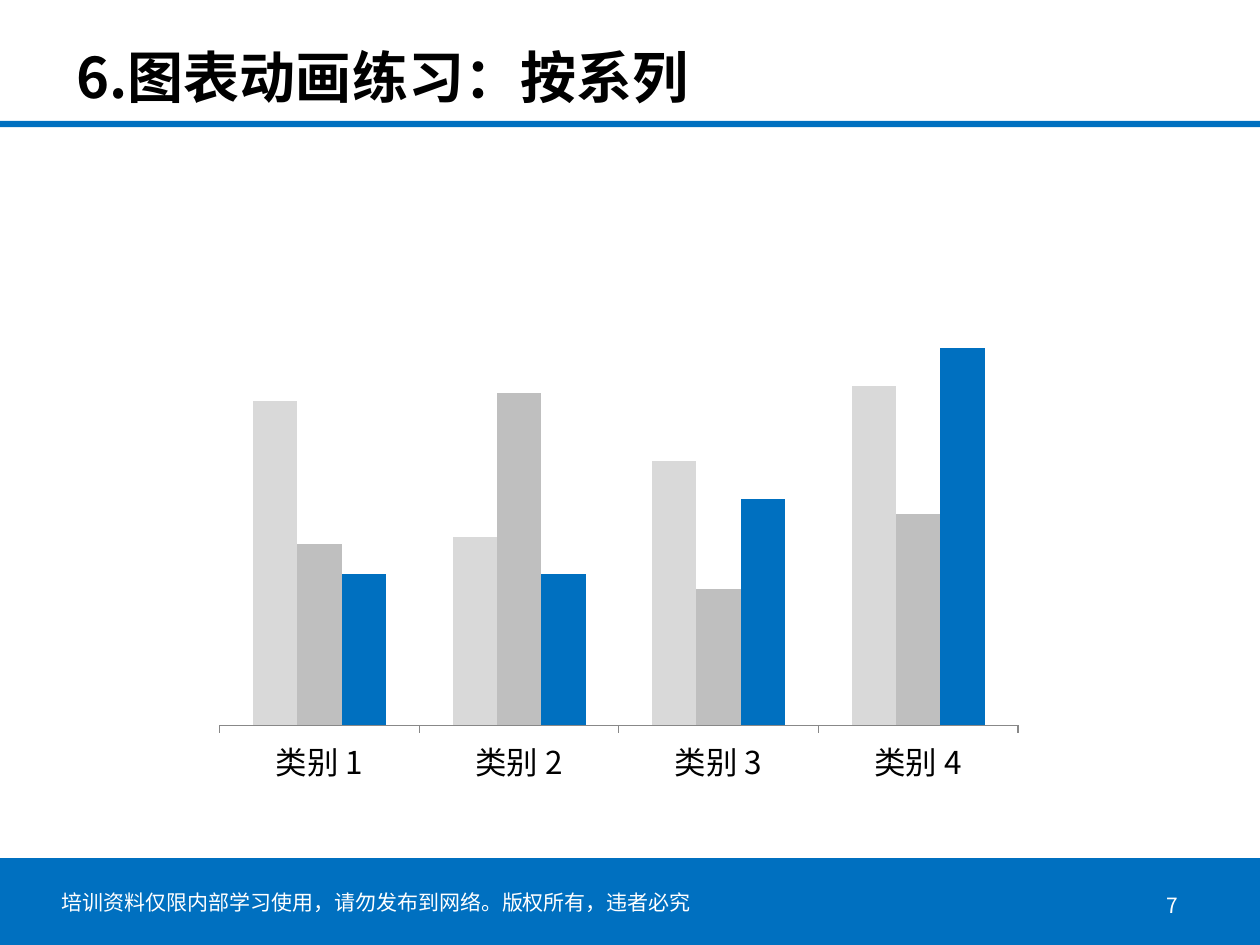
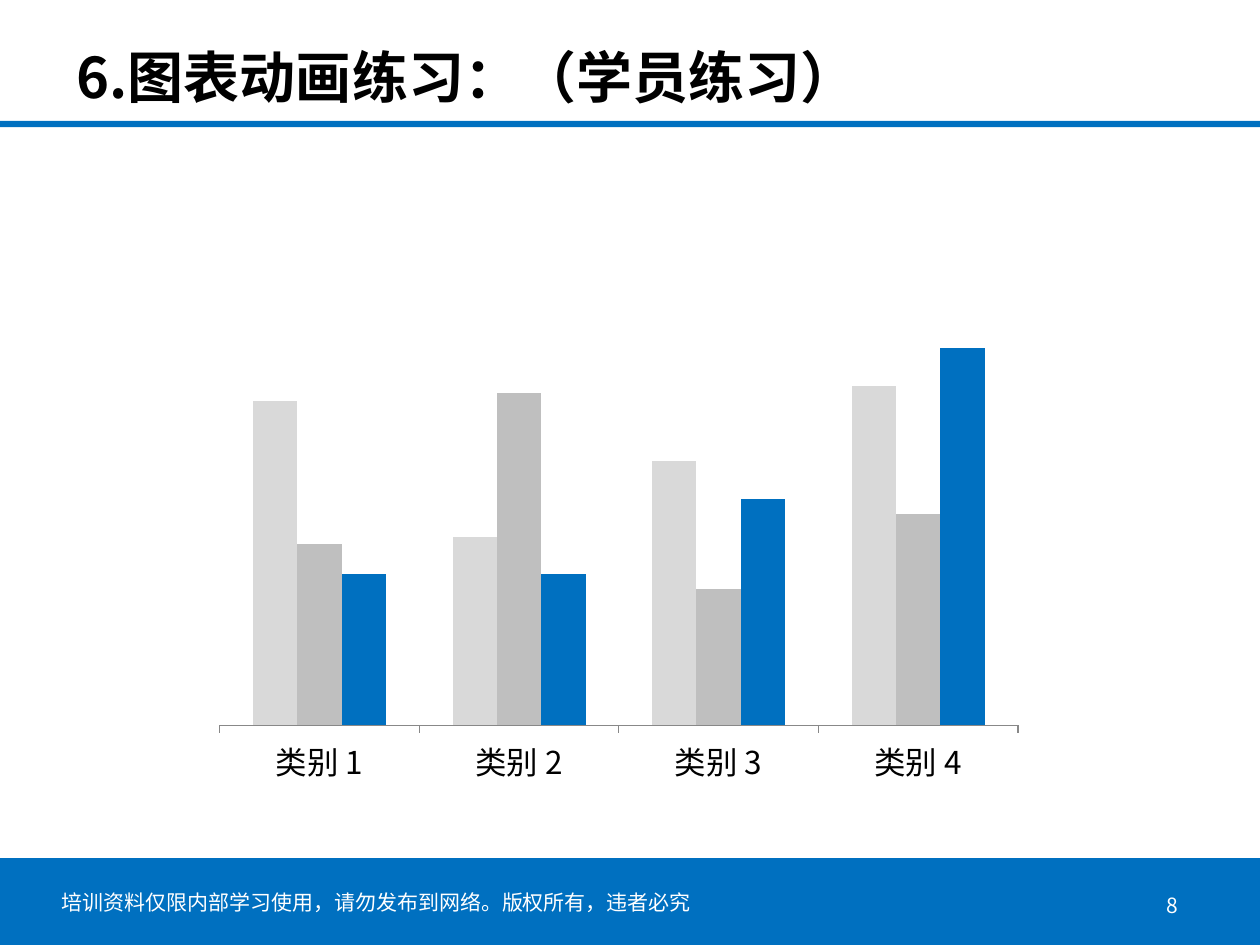
import pptx
import pptx.chart.data
import pptx.dml.color
import pptx.enum.chart
import pptx.enum.shapes
import pptx.enum.text
import pptx.oxml
import pptx.oxml.ns
import pptx.util

FONT = "Noto Sans CJK SC"
BLUE, BLACK, WHITE, AXIS_GRAY = "0070C0", "000000", "FFFFFF", "888888"
COLUMNS, ROWS = 100, 75
FOOTER = "培训资料仅限内部学习使用，请勿发布到网络。版权所有，违者必究"
FIRST_NUMBER = 7
TITLES = ["6.图表动画练习：按系列", "6.图表动画练习：（学员练习）"]
CATEGORIES = [f"类别 {n}" for n in range(1, 5)]
SERIES = [
    ("Series 1", (86, 50, 70, 90), "D9D9D9"),
    ("Series 2", (48, 88, 36, 56), "BFBFBF"),
    ("Series 3", (40, 40, 60, 100), BLUE),
]
PLOT_AREA = {"x": 0.02, "y": 0.05, "w": 0.95, "h": 0.81}


def rgb(value):
    return pptx.dml.color.RGBColor.from_string(value)


def format_font(font, size, color, bold=False):
    """Set the font for Latin and East Asian text alike."""
    font.size = pptx.util.Pt(size)
    font.bold = bold
    font.color.rgb = rgb(color)
    font.name = FONT
    ea = pptx.oxml.parse_xml(f'<a:ea {pptx.oxml.ns.nsdecls("a")} typeface="{FONT}"/>')
    font._rPr.append(ea)


def write(sp, text, size=12, color=WHITE, bold=False, align="LEFT", anchor="MIDDLE"):
    tf = sp.text_frame
    tf.word_wrap = True
    tf.vertical_anchor = getattr(pptx.enum.text.MSO_ANCHOR, anchor)
    p = tf.paragraphs[0]
    p.alignment = getattr(pptx.enum.text.PP_ALIGN, align)
    r = p.add_run()
    r.text = text
    format_font(r.font, size, color, bold)


def place_plot(chart, area):
    """Fix the inner plot area, given as shares of the chart's size."""
    modes = '<c:xMode val="edge"/><c:yMode val="edge"/>'
    sizes = "".join(f'<c:{key} val="{share}"/>' for key, share in area.items())
    layout = pptx.oxml.parse_xml(
        f'<c:layout {pptx.oxml.ns.nsdecls("c")}><c:manualLayout>'
        f'<c:layoutTarget val="inner"/>{modes}{sizes}</c:manualLayout></c:layout>')
    plot_area = chart._chartSpace.xpath("c:chart/c:plotArea")[0]
    for old in plot_area.xpath("c:layout"):
        plot_area.remove(old)
    plot_area.insert(0, layout)


class Deck:
    def __init__(self):
        self.prs = pptx.Presentation()
        self.prs.slide_width = pptx.util.Inches(10)
        self.prs.slide_height = pptx.util.Inches(7.5)
        self.s = None

    def box(self, column, row, columns, rows):
        """Turn grid columns and rows into left, top, width and height."""
        x, y = self.prs.slide_width / COLUMNS, self.prs.slide_height / ROWS
        return [round(v) for v in (column * x, row * y, columns * x, rows * y)]

    def band(self, row, rows):
        rect = pptx.enum.shapes.MSO_SHAPE.RECTANGLE
        sp = self.s.shapes.add_shape(rect, *self.box(0, row, COLUMNS, rows))
        sp.shadow.inherit = False
        sp.fill.solid()
        sp.fill.fore_color.rgb = rgb(BLUE)
        sp.line.fill.background()

    def text(self, text, *cells, **style):
        write(self.s.shapes.add_textbox(*self.box(*cells)), text, **style)

    def slide(self, title, number):
        """Start a slide with the shared bands, title, footer and number."""
        self.s = self.prs.slides.add_slide(self.prs.slide_layouts[6])
        self.band(68.1, ROWS - 68.1)
        self.band(9.6, 0.5)
        self.text(FOOTER, 3.9, 70.1, 74, 3, anchor="TOP")
        self.text(title, 5.1, 3, 90.2, 6.1, size=32, color=BLACK, bold=True)
        self.text(str(number), 90.7, 69.8, 4.7, 4, align="CENTER")

    def column_chart(self, categories, series, *cells):
        data = pptx.chart.data.CategoryChartData()
        data.categories = categories
        for name, values, _ in series:
            data.add_series(name, values)
        kind = pptx.enum.chart.XL_CHART_TYPE.COLUMN_CLUSTERED
        chart = self.s.shapes.add_chart(kind, *self.box(*cells), data).chart
        chart.has_title = chart.has_legend = False
        format_font(chart.font, 18, BLACK)

        plot = chart.plots[0]
        plot.gap_width, plot.overlap, plot.vary_by_categories = 150, 0, False
        for drawn, (_, _, color) in zip(plot.series, series):
            drawn.format.fill.solid()
            drawn.format.fill.fore_color.rgb = rgb(color)

        axis = chart.category_axis
        axis.major_tick_mark = pptx.enum.chart.XL_TICK_MARK.OUTSIDE
        axis.format.line.color.rgb = rgb(AXIS_GRAY)
        axis.format.line.width = pptx.util.Pt(0.75)
        scale = chart.value_axis
        scale.minimum_scale, scale.maximum_scale = 0, 120
        scale.has_major_gridlines = False
        scale.visible = False
        place_plot(chart, PLOT_AREA)


def main():
    deck = Deck()
    for number, title in enumerate(TITLES, FIRST_NUMBER):
        deck.slide(title, number)
        deck.column_chart(CATEGORIES, SERIES, 16.1, 19.4, 66.7, 44.4)
    deck.prs.save("out.pptx")


if __name__ == "__main__":
    main()
